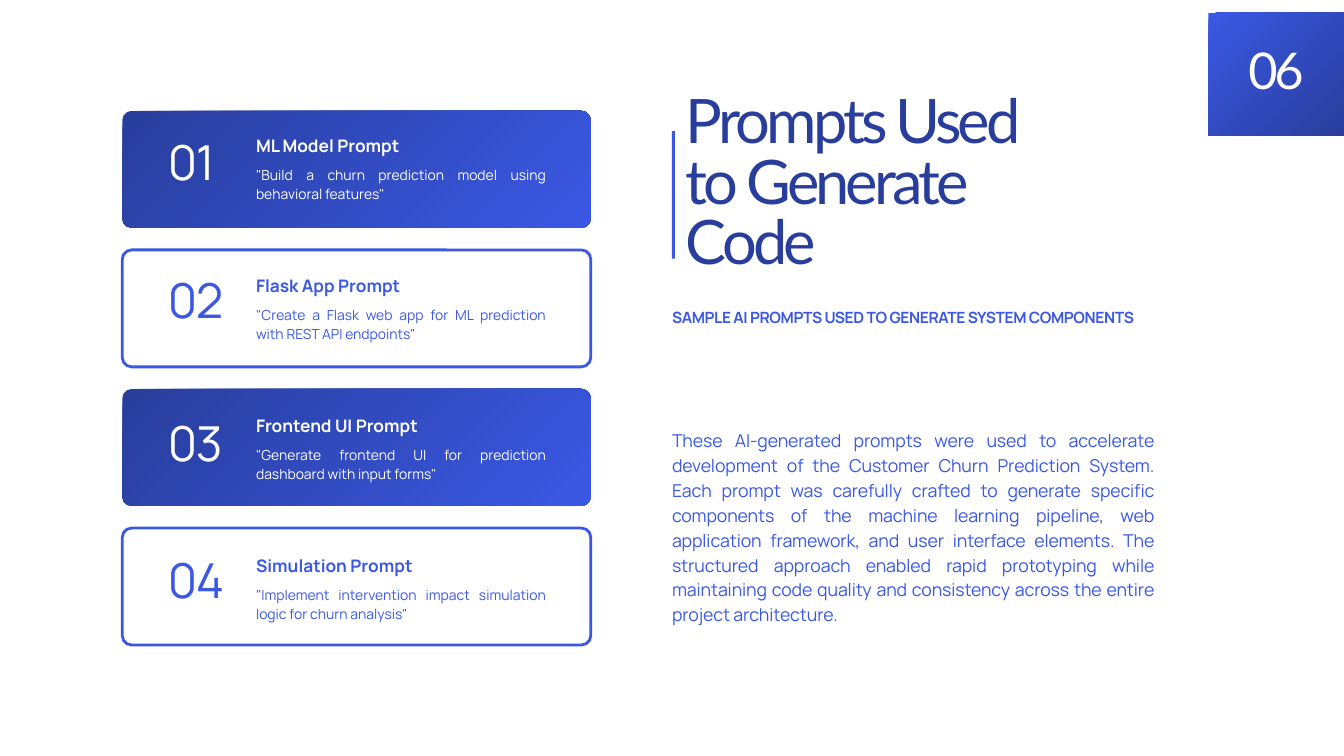
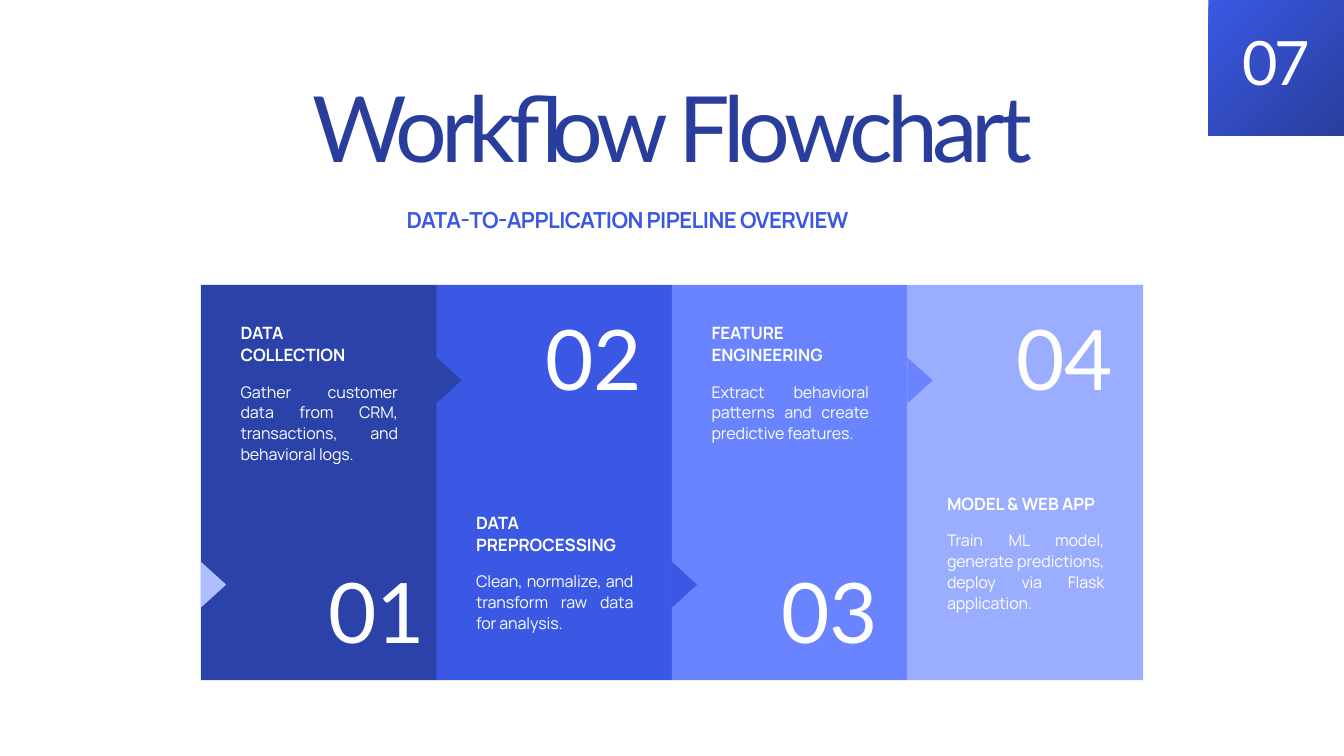
from pptx import Presentation
from pptx.dml.color import RGBColor
from pptx.enum import shapes, text
from pptx.util import Pt

NAVY, BLUE, WHITE, PALE = "293E9C", "3A58E4", "FFFFFF", "AFBEFF"
LEFT, MID, JUST = text.PP_ALIGN.LEFT, text.PP_ALIGN.CENTER, text.PP_ALIGN.JUSTIFY
KIND = shapes.MSO_SHAPE

STYLES = {
    "badge6": dict(name="Lato", size=54.2, track=-3.5, lead=53.1, align=MID),
    "badge7": dict(name="Lato", size=65.5, track=-4.2, lead=64.2, align=MID),
    "title6": dict(name="Lato", size=65.7, track=-4.2, lead=64.4, align=LEFT),
    "title7": dict(name="Lato", size=97.9, track=-6.3, lead=96, align=MID),
    "sub6": dict(name="Manrope", size=16.6, track=-0.4, lead=23.3, align=JUST, bold=True),
    "sub7": dict(name="Manrope", size=23.7, track=-0.6, lead=33.2, align=LEFT, bold=True),
    "body": dict(name="Manrope", size=19, track=-0.1, lead=26.7, align=JUST),
    "cardnum": dict(name="Manrope", size=51.6, track=-1.5, lead=46.4, align=LEFT),
    "cardhead": dict(name="Manrope", size=18.5, track=0, lead=28.1, align=JUST, bold=True),
    "cardtext": dict(name="Manrope", size=14.9, track=0, lead=20.9, align=JUST),
    "stepnum": dict(name="Lato", size=89.4, track=-0.3, lead=115.4, align=JUST),
    "stephead": dict(name="Manrope", size=18.2, track=-0.1, lead=23.5, align=JUST, bold=True),
    "steptext": dict(name="Manrope", size=17.2, track=-0.1, lead=22.3, align=JUST),
}

BODY = (
    "These AI-generated prompts were used to accelerate development of the "
    "Customer Churn Prediction System. Each prompt was carefully crafted to "
    "generate specific components of the machine learning pipeline, web "
    "application framework, and user interface elements. The structured approach "
    "enabled rapid prototyping while maintaining code quality and consistency "
    "across the entire project architecture."
)

CARDS = [
    ("01", 157, "ML Model Prompt",
     '"Build a churn prediction model using behavioral features"'),
    ("02", 305.3, "Flask App Prompt",
     '"Create a Flask web app for ML prediction with REST API endpoints"'),
    ("03", 458, "Frontend UI Prompt",
     '"Generate frontend UI for prediction dashboard with input forms"'),
    ("04", 604.8, "Simulation Prompt",
     '"Implement intervention impact simulation logic for churn analysis"'),
]

STEPS = [
    ("01", "2B42A8", 137, 344.2, 63.5, "DATA\nCOLLECTION",
     "Gather customer data from CRM, transactions, and behavioral logs."),
    ("02", BLUE, 117, 547.2, 63.5, "DATA PREPROCESSING",
     "Clean, normalize, and transform raw data for analysis."),
    ("03", "6984FE", 117, 344.2, 63.5, "FEATURE ENGINEERING",
     "Extract behavioral patterns and create predictive features."),
    ("04", "9AADFF", 117, 527, 40, "MODEL & WEB APP",
     "Train ML model, generate predictions, deploy via Flask application."),
]


def rgb(code):
    return RGBColor.from_string(code)


def place(box):
    return [Pt(v) for v in box]


def write(shape, words, style, color):
    look = STYLES[style]
    frame = shape.text_frame
    frame.word_wrap = True
    frame.auto_size = text.MSO_AUTO_SIZE.NONE
    frame.vertical_anchor = text.MSO_ANCHOR.TOP
    for side in ("left", "right", "top", "bottom"):
        setattr(frame, "margin_" + side, 0)
    frame.text = words
    for para in frame.paragraphs:
        form = dict(alignment=look["align"], line_spacing=Pt(look["lead"]),
                    space_before=Pt(0), space_after=Pt(0))
        for key, val in form.items():
            setattr(para, key, val)
        for run in para.runs:
            font = dict(name=look["name"], size=Pt(look["size"]),
                        bold=look.get("bold", False))
            for key, val in font.items():
                setattr(run.font, key, val)
            run.font.color.rgb = rgb(color)
            run._r.get_or_add_rPr().set("spc", str(round(look["track"] * 100)))


def label(slide, box, words, style, color=WHITE):
    write(slide.shapes.add_textbox(*place(box)), words, style, color)


def block(slide, box, fill=None, kind=KIND.RECTANGLE, line=None):
    shape = slide.shapes.add_shape(kind, *place(box))
    shape.shadow.inherit = False
    if isinstance(fill, tuple):
        shape.fill.gradient()
        shape.fill.gradient_angle = 315
        for stop, pos, color in zip(shape.fill.gradient_stops, (0, 1), fill):
            stop.position = pos
            stop.color.rgb = rgb(color)
    elif fill:
        shape.fill.solid()
        shape.fill.fore_color.rgb = rgb(fill)
    else:
        shape.fill.background()
    if line:
        shape.line.color.rgb = rgb(line)
        shape.line.width = Pt(3)
    else:
        shape.line.fill.background()
    return shape


def start(deck, title, box, style, num, top, y, mark):
    slide = deck.slides.add_slide(deck.slide_layouts[5])
    head = slide.shapes.title
    for key, val in zip(("left", "top", "width", "height"), place(box)):
        setattr(head, key, val)
    write(head, title, style, NAVY)
    block(slide, (1294.6, top, 145.4, 145.4 - top), (BLUE, NAVY))
    label(slide, (1313.3, y, 108, 70), num, mark)
    return slide


def prompts(deck):
    slide = start(deck, "Prompts Used to Generate Code", (735, 103, 387, 196),
                  "title6", "06", 13.7, 53.3, "badge6")
    block(slide, (720, 140.4, 3, 136.8), BLUE)
    label(slide, (720, 327, 503, 23), "SAMPLE AI PROMPTS USED TO GENERATE SYSTEM COMPONENTS",
          "sub6", BLUE)
    label(slide, (720, 456.5, 517, 235), BODY, "body", BLUE)
    for i, (num, y, head, words) in enumerate(CARDS):
        dark = i % 2 == 0
        ink = WHITE if dark else BLUE
        card = block(slide, (131, 118.8 + 149 * i, 502, 125.3),
                     (NAVY, BLUE) if dark else None, KIND.ROUNDED_RECTANGLE,
                     None if dark else BLUE)
        card.adjustments[0] = 0.08
        label(slide, (180, y, 69, 55), num, "cardnum", ink)
        label(slide, (274.3, 139 + 150 * i, 248, 26), head, "cardhead", ink)
        label(slide, (274.3, 175 + 150 * i, 310.3, 40), words, "cardtext", ink)


def flow(deck):
    slide = start(deck, "Workflow Flowchart", (265, 98, 910, 100),
                  "title7", "07", 0, 41, "badge7")
    label(slide, (435.6, 216, 555, 33), "DATA-TO-APPLICATION PIPELINE OVERVIEW",
          "sub7", BLUE)
    lefts = [215.3 + 252.3 * i for i in range(len(STEPS))]
    for x, step in zip(lefts, STEPS):
        block(slide, (x, 305.3, 252.7, 423.4), step[1])
    tints = [PALE] + [step[1] for step in STEPS]
    for i, (x, tint) in enumerate(zip(lefts, tints)):
        y = 407.5 if i % 2 else 626.4
        tip = block(slide, (x + 13.5 - 24.5, y - 13.5, 49, 27), tint,
                    KIND.ISOSCELES_TRIANGLE)
        tip.rotation = 90
    for i, (x, step) in enumerate(zip(lefts, STEPS)):
        num, _, shift, y, gap, head, words = step
        label(slide, (x + 42.5, y, 168.5, 47), head, "stephead")
        label(slide, (x + 42.5, y + gap, 168.5, 90), words, "steptext")
        label(slide, (x + shift, 320.4 if i % 2 else 591.8, 135, 112), num, "stepnum")


def main():
    deck = Presentation()
    deck.slide_width, deck.slide_height = Pt(1440), Pt(810)
    prompts(deck)
    flow(deck)
    deck.save("out.pptx")


if __name__ == "__main__":
    main()
